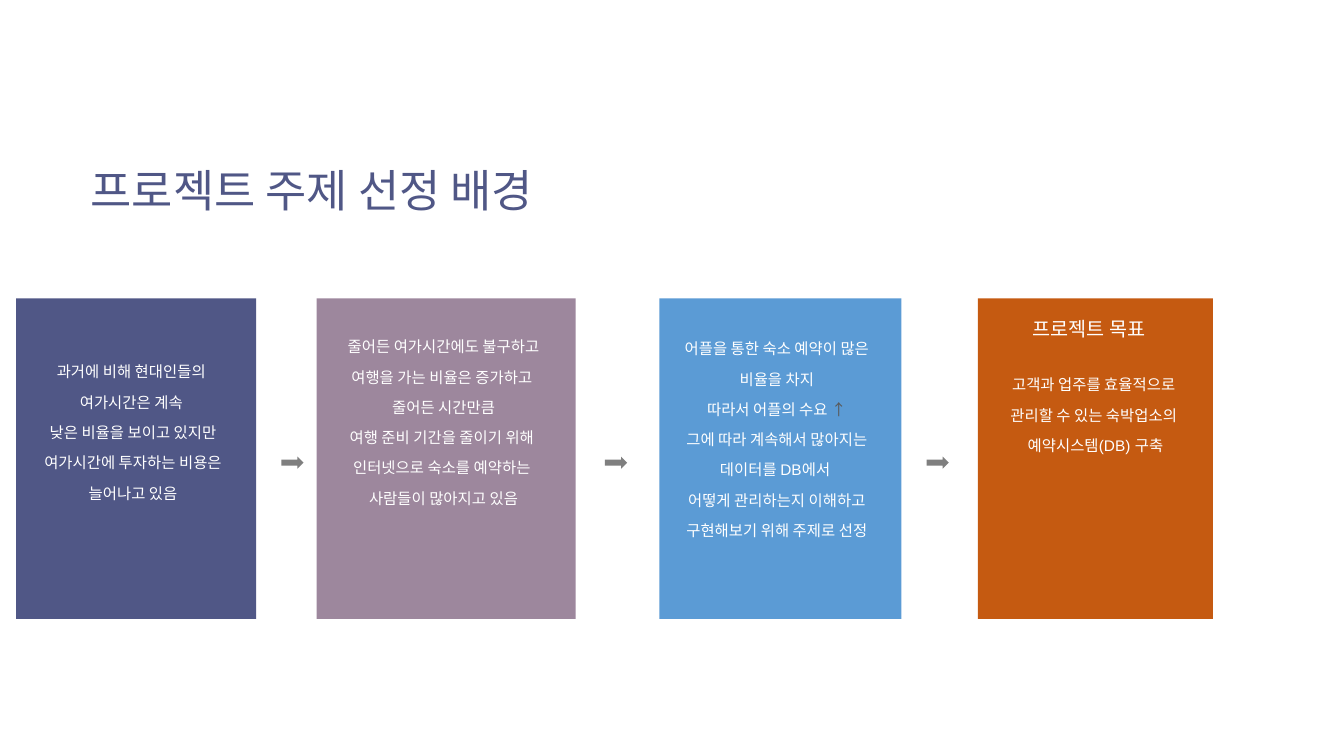
from pptx import Presentation
from pptx.dml.color import RGBColor
from pptx.enum import shapes, text
from pptx.util import Inches, Pt

FONT = "Arial"
COLORS = {
    "navy": "505786",
    "mauve": "9D879D",
    "blue": "5B9BD5",
    "orange": "C55A11",
    "white": "FFFFFF",
    "gray": "7F7F7F",
    "dark": "595959",
}
TITLE = "프로젝트 주제 선정 배경"
GOAL = "프로젝트 목표"
UP_ARROW = "↑"

# Each panel: colour, left, width, text box (left, top, width, height), lines
PANELS = [
    ("navy", 0.16, 2.38, (0.2, 3.43, 2.24, 1.85), [
        "과거에 비해 현대인들의 ",
        "여가시간은 계속 ",
        "낮은 비율을 보이고 있지만",
        "여가시간에 투자하는 비용은 늘어나고 있음",
    ]),
    ("mauve", 3.14, 2.57, (3.15, 3.18, 2.5, 2.84), [
        "줄어든 여가시간에도 불구하고 여행을 가는 비율은 증가하고 ",
        "줄어든 시간만큼",
        "여행 준비 기간을 줄이기 위해 ",
        "인터넷으로 숙소를 예약하는 ",
        "사람들이 많아지고 있음",
    ]),
    ("blue", 6.54, 2.4, (6.61, 3.2, 2.19, 2.83), [
        "어플을 통한 숙소 예약이 많은 비율을 차지",
        "따라서 어플의 수요 " + UP_ARROW,
        "그에 따라 계속해서 많아지는 데이터를 DB에서 ",
        "어떻게 관리하는지 이해하고",
        "구현해보기 위해 주제로 선정",
    ]),
    ("orange", 9.7, 2.33, (9.77, 3.56, 2.19, 1.06), [
        "고객과 업주를 효율적으로 ",
        "관리할 수 있는 숙박업소의 ",
        "예약시스템(DB) 구축",
    ]),
]
PANEL_TOP, PANEL_HEIGHT = 2.96, 3.18
ARROW_CENTERS = [2.9, 6.11, 9.3]
ARROW_MIDDLE = 4.59


def rgb(name):
    return RGBColor.from_string(COLORS[name])


def style_run(run, size, color):
    run.font.name = FONT
    run.font.size = Pt(size)
    run.font.color.rgb = rgb(color)


def add_filled(slide, kind, box, color):
    shape = slide.shapes.add_shape(kind, *map(Inches, box))
    shape.shadow.inherit = False
    shape.fill.solid()
    shape.fill.fore_color.rgb = rgb(color)
    shape.line.fill.background()


def add_lines(slide, box, lines, size, spacing):
    frame = slide.shapes.add_textbox(*map(Inches, box)).text_frame
    frame.word_wrap = True
    for index, line in enumerate(lines):
        paragraph = frame.add_paragraph() if index else frame.paragraphs[0]
        paragraph.alignment = text.PP_ALIGN.CENTER
        paragraph.line_spacing = spacing
        paragraph.text = line.removesuffix(UP_ARROW)
        style_run(paragraph.runs[0], size, "white")
        if line.endswith(UP_ARROW):
            run = paragraph.add_run()
            run.text = UP_ARROW
            style_run(run, size, "dark")


def main():
    presentation = Presentation()
    presentation.slide_width = Inches(13.33)
    presentation.slide_height = Inches(7.5)
    slide = presentation.slides.add_slide(presentation.slide_layouts[5])

    # Title
    title = slide.shapes.title
    title.left, title.top, title.width, title.height = map(Inches, (0.8, 1.56, 7.14, 0.64))
    title.text_frame.text = TITLE
    title.text_frame.vertical_anchor = text.MSO_ANCHOR.MIDDLE
    paragraph = title.text_frame.paragraphs[0]
    paragraph.alignment = text.PP_ALIGN.LEFT
    style_run(paragraph.runs[0], 32, "navy")

    # Panels with their text
    for color, left, width, text_box, lines in PANELS:
        panel_box = (left, PANEL_TOP, width, PANEL_HEIGHT)
        add_filled(slide, shapes.MSO_SHAPE.RECTANGLE, panel_box, color)
        add_lines(slide, text_box, lines, 11, 1.64)
    add_lines(slide, (9.89, 3.03, 1.82, 0.33), [GOAL], 14, 1.29)

    # Arrows on white discs between the panels
    for center in ARROW_CENTERS:
        for kind, width, height, color in (
            (shapes.MSO_SHAPE.OVAL, 0.44, 0.44, "white"),
            (shapes.MSO_SHAPE.RIGHT_ARROW, 0.22, 0.12, "gray"),
        ):
            box = (center - width / 2, ARROW_MIDDLE - height / 2, width, height)
            add_filled(slide, kind, box, color)

    presentation.save("out.pptx")


if __name__ == "__main__":
    main()
